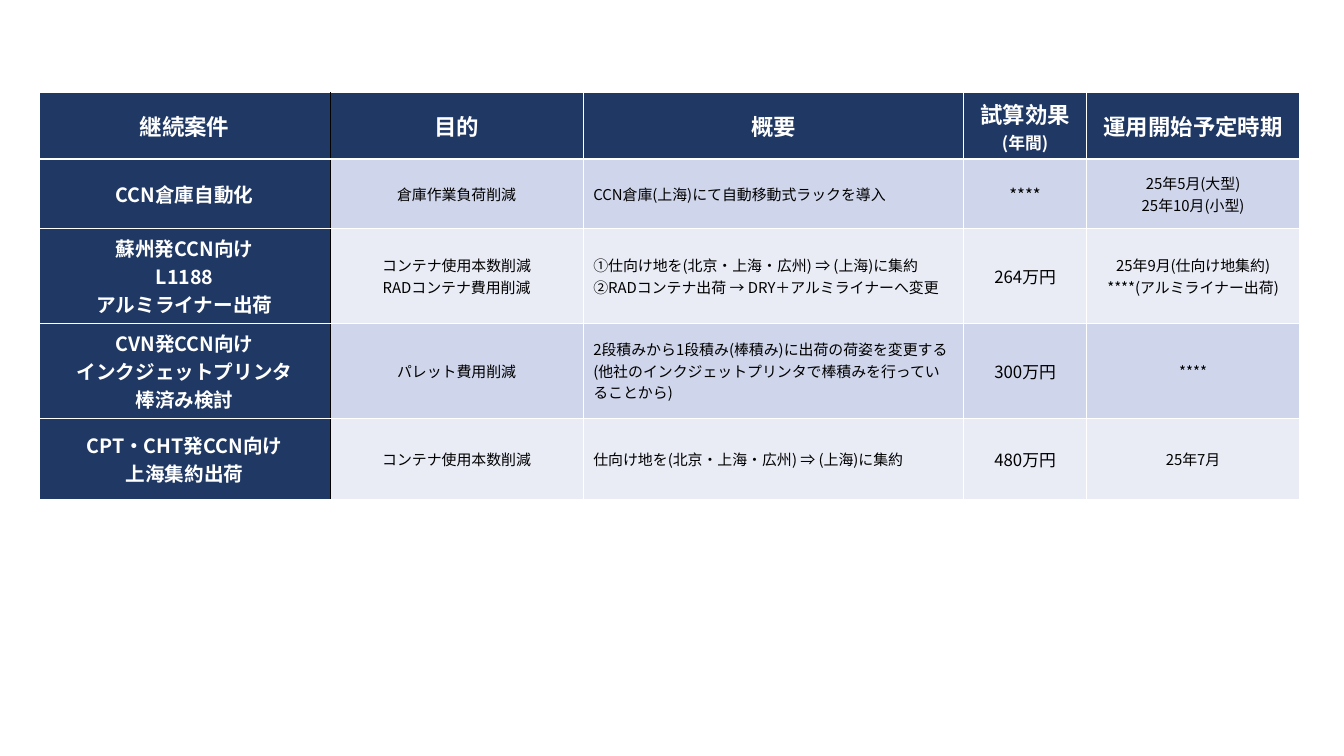
from lxml import etree
from pptx import Presentation
from pptx import util as u
from pptx.dml.color import RGBColor
from pptx.enum import text
from pptx.oxml.ns import qn

FONT = "Noto Sans CJK JP"
COLORS = {"navy": "203864", "odd": "CFD5EA", "even": "E9EBF5", "white": "FFFFFF", "black": "000000"}
COLUMN_WIDTHS = [4.33, 3.77, 5.66, 1.83, 3.17]
ROW_HEIGHTS = [0.87, 1.04, 1.2, 1.2, 1.2]
BODY_SIZES = [21, 16, 16, 18, 16]
SUMMARY_COLUMN = 2
ROWS = [
    ["継続案件", "目的", "概要", "試算効果\n(年間)", "運用開始予定時期"],
    ["CCN倉庫自動化", "倉庫作業負荷削減", "CCN倉庫(上海)にて自動移動式ラックを導入",
     "****", "25年5月(大型)\n25年10月(小型)"],
    ["蘇州発CCN向け\nL1188\nアルミライナー出荷", "コンテナ使用本数削減\nRADコンテナ費用削減",
     "➀仕向け地を(北京・上海・広州) ⇒ (上海)に集約\n②RADコンテナ出荷 → DRY＋アルミライナーへ変更",
     "264万円", "25年9月(仕向け地集約)\n****(アルミライナー出荷)"],
    ["CVN発CCN向け\nインクジェットプリンタ\n棒済み検討", "パレット費用削減",
     "2段積みから1段積み(棒積み)に出荷の荷姿を変更する\n(他社のインクジェットプリンタで棒積みを行っていることから)",
     "300万円", "****"],
    ["CPT・CHT発CCN向け\n上海集約出荷", "コンテナ使用本数削減",
     "仕向け地を(北京・上海・広州) ⇒ (上海)に集約", "480万円", "25年7月"],
]


def rgb(name):
    """Return the named palette colour."""
    return RGBColor.from_string(COLORS[name])


def set_border(cell, side, color, width):
    """Draw one side (L, R, T or B) of a cell's border."""
    line = etree.SubElement(cell._tc.get_or_add_tcPr(), qn(f"a:ln{side}"), w=str(u.Pt(width)))
    fill = etree.SubElement(line, qn("a:solidFill"))
    etree.SubElement(fill, qn("a:srgbClr"), val=COLORS[color])


def style_borders(cell, row, column):
    """Rule the cell in white, with a black line after the first column."""
    set_border(cell, "L", "black" if column == 1 else "white", 1)
    set_border(cell, "R", "black" if column == 0 else "white", 1)
    set_border(cell, "T", "white", 3 if row == 1 else 1)
    set_border(cell, "B", "white", 3 if row == 0 else 1)


def style_text(cell, row, column):
    """Format the paragraphs by the cell's place in the table."""
    heading = row == 0 or column == 0
    centred = row == 0 or column != SUMMARY_COLUMN
    for index, para in enumerate(cell.text_frame.paragraphs):
        para.alignment = text.PP_ALIGN.CENTER if centred else text.PP_ALIGN.LEFT
        header_size = 18 if index else 24
        for span in para.runs:
            span.font.size = u.Pt(BODY_SIZES[column] if row else header_size)
            span.font.bold = heading
            span.font.color.rgb = rgb("white" if heading else "black")
            span.font.name = FONT
            etree.SubElement(span.font._element, qn("a:ea"), typeface=FONT)


def fill_cell(cell, content, row, column):
    """Write and style one table cell."""
    cell.text_frame.text = content
    cell.vertical_anchor = text.MSO_ANCHOR.MIDDLE
    cell.margin_left = cell.margin_right = u.Inches(0.15)
    cell.margin_top = cell.margin_bottom = u.Inches(0.07)
    style_borders(cell, row, column)
    band = "odd" if row % 2 else "even"
    cell.fill.solid()
    cell.fill.fore_color.rgb = rgb("navy" if row == 0 or column == 0 else band)
    style_text(cell, row, column)


def add_project_table(page, left, top):
    """Add the table of ongoing projects."""
    table = page.shapes.add_table(
        len(ROWS), len(COLUMN_WIDTHS), left, top,
        u.Inches(sum(COLUMN_WIDTHS)), u.Inches(sum(ROW_HEIGHTS))).table
    for column, width in zip(table.columns, COLUMN_WIDTHS):
        column.width = u.Inches(width)
    for row, height in zip(table.rows, ROW_HEIGHTS):
        row.height = u.Inches(height)
    for row, contents in enumerate(ROWS):
        for column, content in enumerate(contents):
            fill_cell(table.cell(row, column), content, row, column)


def main():
    """Build and save the slide."""
    deck = Presentation()
    deck.slide_width, deck.slide_height = u.Inches(20), u.Inches(11.25)
    page = deck.slides.add_slide(deck.slide_layouts[6])
    add_project_table(page, u.Inches(0.58), u.Inches(1.38))
    deck.save("out.pptx")


if __name__ == "__main__":
    main()
